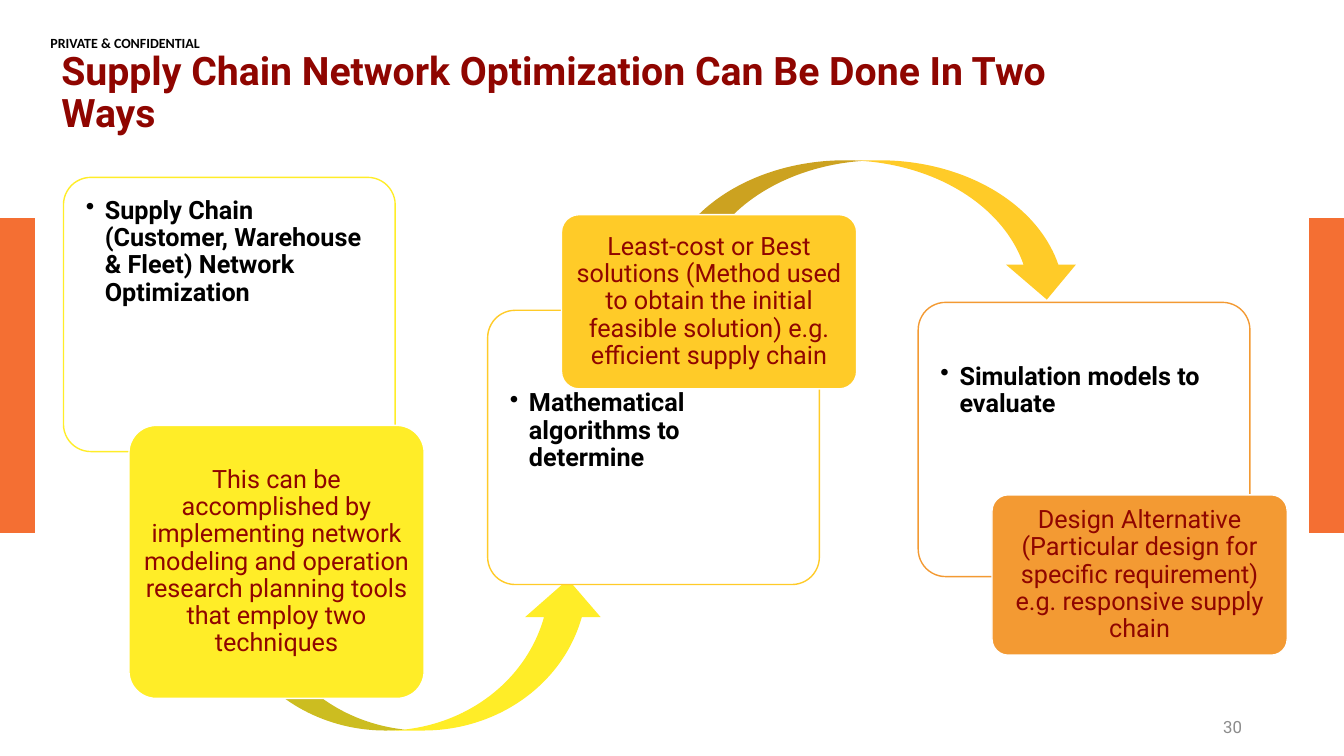
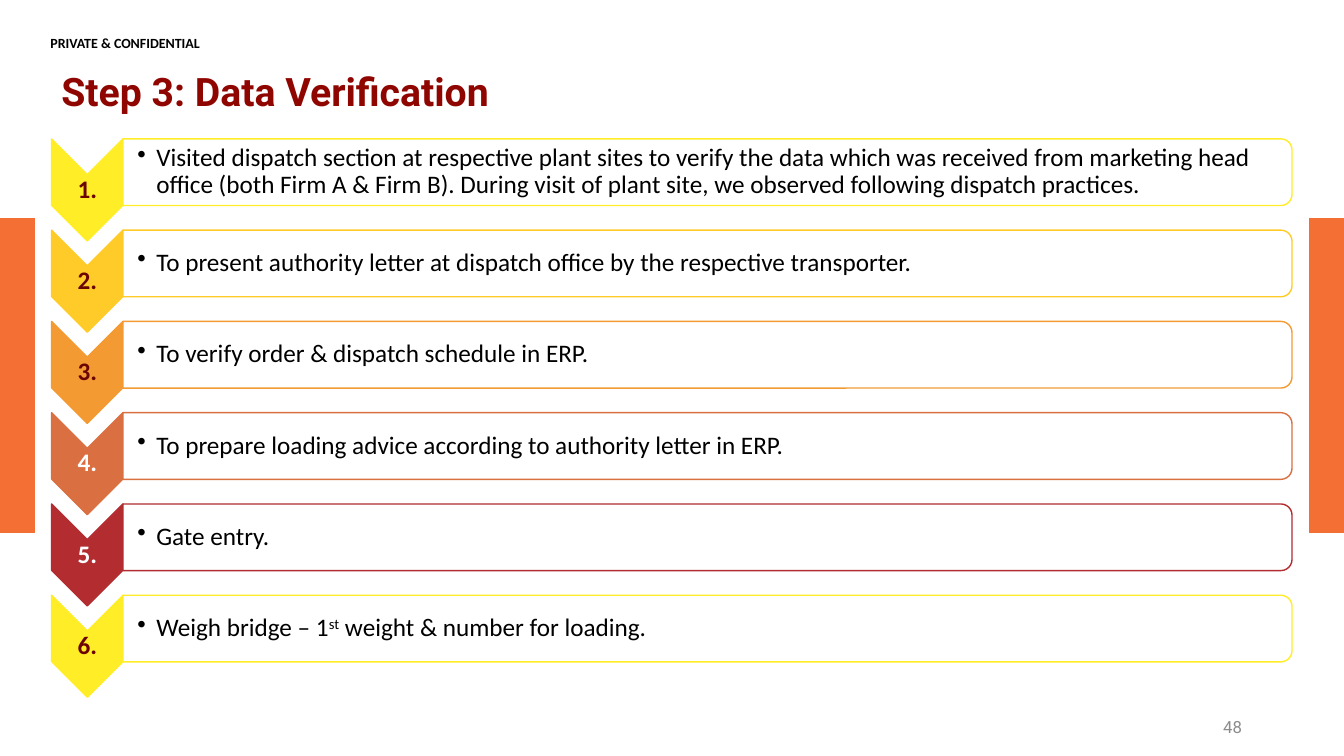
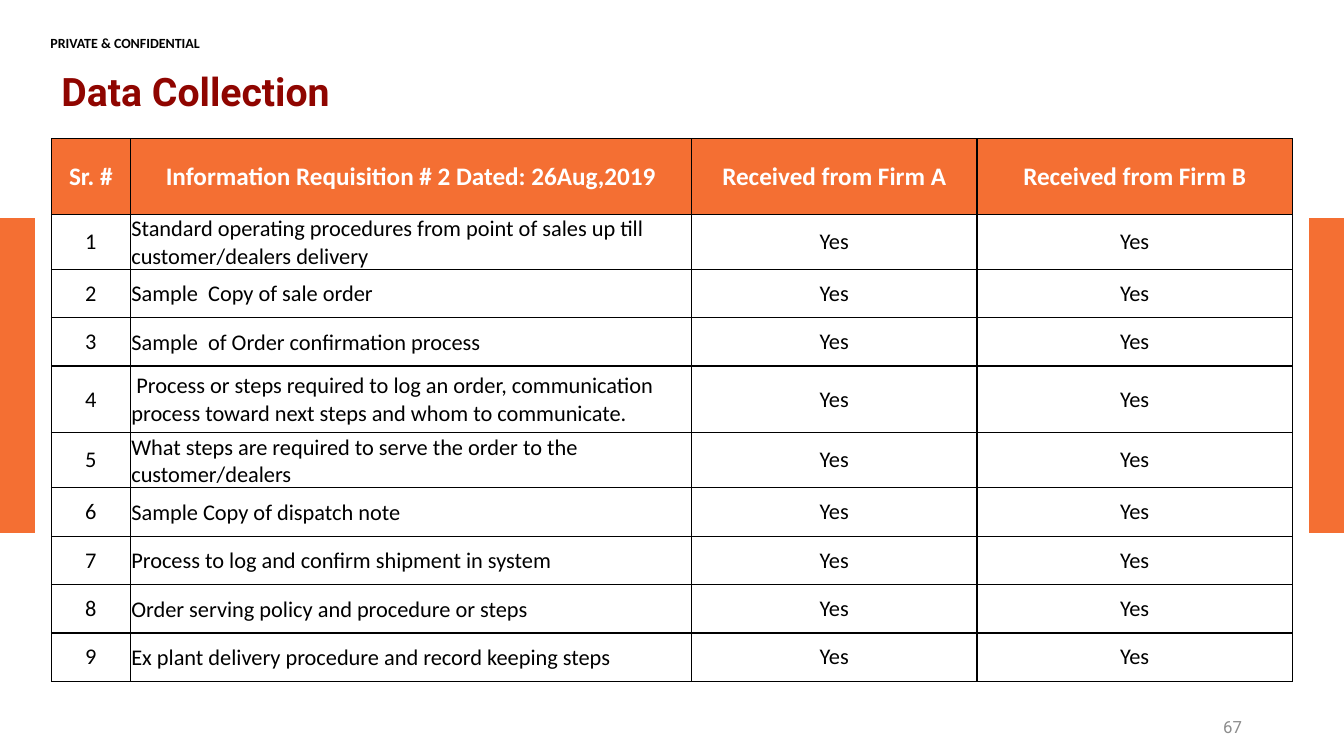
"""Build three supply chain slides: optimization ways, verification steps and a data table."""
from lxml import etree
from pptx import Presentation
from pptx.dml.color import RGBColor
from pptx.enum.shapes import MSO_SHAPE
from pptx.enum.text import MSO_ANCHOR, PP_ALIGN
from pptx.oxml.ns import qn
from pptx.util import Cm, Pt

RECTANGLE = MSO_SHAPE.RECTANGLE
ROUNDED = MSO_SHAPE.ROUNDED_RECTANGLE
ROUNDED_TOP = MSO_SHAPE.ROUND_2_SAME_RECTANGLE
CHEVRON = MSO_SHAPE.CHEVRON
CURVED_ARROW = MSO_SHAPE.CURVED_DOWN_ARROW
TOP, MIDDLE = MSO_ANCHOR.TOP, MSO_ANCHOR.MIDDLE
LEFT, CENTER, RIGHT = PP_ALIGN.LEFT, PP_ALIGN.CENTER, PP_ALIGN.RIGHT

WHITE, BLACK, GRAY = "FFFFFF", "000000", "8C8C8C"
ORANGE, MAROON, DARK_MAROON = "F46F33", "8F0500", "6A0500"
YELLOW, GOLD, AMBER, RUST, RED = "FFED28", "FFCB28", "F39A33", "DA6F41", "B22C30"
BODY_FONT, TITLE_FONT = "Calibri", "Roboto"
WIDTH, HEIGHT = 33.87, 19.05
BAND_TOP, BAND_WIDTH, BAND_HEIGHT = 5.5, 0.88, 7.93
DEFAULT_MARGINS = (0.25, 0.13, 0.25, 0.13)

WAYS_TITLE = "Supply Chain Network Optimization Can Be Done In Two Ways"
CARD_WIDTH, CARD_HEIGHT, NOTE_WIDTH = 8.36, 6.91, 7.44
WAYS = [
    {"color": YELLOW, "card": (1.6, 4.47), "text_top": 0.31,
     "heading": "Supply Chain (Customer, Warehouse & Fleet) Network Optimization",
     "arrow": (5.59, 14.6, 9.68, 3.81), "flipped": True,
     "note_box": (3.25, 10.72, NOTE_WIDTH, 6.88),
     "note": "This can be accomplished by implementing network modeling and operation "
             "research planning tools that employ two techniques"},
    {"color": GOLD, "card": (12.29, 7.82), "text_top": 1.81,
     "heading": "Mathematical algorithms to determine",
     "arrow": (16.64, 4.04, 10.62, 3.51), "flipped": False,
     "note_box": (14.15, 5.41, NOTE_WIDTH, 4.39),
     "note": "Least-cost or Best solutions (Method used to obtain the initial feasible "
             "solution) e.g. efficient supply chain"},
    {"color": AMBER, "card": (23.14, 7.62), "text_top": 1.34,
     "heading": "Simulation models to evaluate",
     "arrow": None, "flipped": False,
     "note_box": (25, 12.47, NOTE_WIDTH, 4.04),
     "note": "Design Alternative (Particular design for specific requirement) "
             "e.g. responsive supply chain"},
]

STEPS_TITLE = "Step 3: Data Verification"
STEPS = [
    (YELLOW, DARK_MAROON, [
        "Visited dispatch section at respective plant sites to verify the data which was "
        "received from marketing head office (both Firm A & Firm B). During visit of plant "
        "site, we observed following dispatch practices."]),
    (GOLD, DARK_MAROON,
     ["To present authority letter at dispatch office by the respective transporter."]),
    (AMBER, DARK_MAROON, ["To verify order & dispatch schedule in ERP."]),
    (RUST, WHITE, ["To prepare loading advice according to authority letter in ERP."]),
    (RED, WHITE, ["Gate entry."]),
    (YELLOW, DARK_MAROON, ["Weigh bridge – 1", "st", " weight & number for loading."]),
]
STEP_LEFT, STEP_TOP, STEP_PITCH = 1.3, 3.5, 2.3
CHEVRON_WIDTH, CHEVRON_HEIGHT = 1.8, 2.57
BAR_WIDTH, BAR_HEIGHT = 29.46, 1.68

TABLE_TITLE = "Data Collection"
TABLE_HEADER = ["Sr. #", "Information Requisition # 2 Dated: 26Aug,2019",
                "Received from Firm A", "Received from Firm B"]
REQUISITIONS = [
    "Standard operating procedures from point of sales up till customer/dealers delivery",
    "Sample  Copy of sale order",
    "Sample  of Order confirmation process",
    " Process or steps required to log an order, communication process toward next steps "
    "and whom to communicate.",
    "What steps are required to serve the order to the customer/dealers",
    "Sample Copy of dispatch note",
    "Process to log and confirm shipment in system",
    "Order serving policy and procedure or steps",
    "Ex plant delivery procedure and record keeping steps",
]
COLUMN_WIDTHS = [1.98, 14.15, 7.19, 7.95]
ROW_HEIGHTS = [1.9] + [1.22] * 3 + [1.68] + [1.22] * 5


def color(value):
    return RGBColor.from_string(value)


def add_bullet(paragraph):
    properties = paragraph._p.get_or_add_pPr()
    properties.set("marL", str(Cm(0.48)))
    properties.set("indent", str(-Cm(0.48)))
    etree.SubElement(properties, qn("a:buChar")).set("char", "•")


def set_text(frame, runs, size, font_color, font=BODY_FONT, bold=False, align=LEFT,
             spacing=None, bullet=False):
    paragraph = frame.paragraphs[0]
    paragraph.alignment = align
    if spacing:
        paragraph.line_spacing = spacing
    if bullet:
        add_bullet(paragraph)
    paragraph.font.name = font
    paragraph.font.size = Pt(size)
    paragraph.font.bold = bold
    paragraph.font.color.rgb = color(font_color)
    for index, text in enumerate(runs):
        run = paragraph.add_run()
        run.text = text
        if index == 1:
            run.font._element.set("baseline", "30000")


def set_frame(frame, anchor, margins):
    frame.word_wrap = True
    frame.vertical_anchor = anchor
    (frame.margin_left, frame.margin_top,
     frame.margin_right, frame.margin_bottom) = map(Cm, margins)


def add_shape(slide, kind, box, fill, line=None):
    shape = slide.shapes.add_shape(kind, *map(Cm, box))
    shape.shadow.inherit = False
    shape.fill.solid()
    shape.fill.fore_color.rgb = color(fill)
    if line:
        shape.line.color.rgb = color(line)
        shape.line.width = Pt(1)
    else:
        shape.line.fill.background()
    return shape


def add_turned_shape(slide, kind, box, fill, line):
    left, top, width, height = box
    shift = (width - height) / 2
    shape = add_shape(slide, kind, (left + shift, top - shift, height, width), fill, line)
    shape.rotation = 90


def add_text(slide, box, runs, size, font_color, anchor=MIDDLE, margins=DEFAULT_MARGINS,
             **style):
    frame = slide.shapes.add_textbox(*map(Cm, box)).text_frame
    set_frame(frame, anchor, margins)
    set_text(frame, runs, size, font_color, **style)


def add_base_slide(presentation, title, number):
    slide = presentation.slides.add_slide(presentation.slide_layouts[6])
    for left in (0, WIDTH - BAND_WIDTH):
        add_shape(slide, RECTANGLE, (left, BAND_TOP, BAND_WIDTH, BAND_HEIGHT), ORANGE)
    add_text(slide, (1.27, 0.86, 6.43, 0.3), ["PRIVATE & CONFIDENTIAL"], 10, BLACK,
             anchor=TOP, margins=(0, 0, 0, 0), bold=True)
    add_text(slide, (1.3, 1.47, 27.58, 1.8), [title], 28, MAROON,
             font=TITLE_FONT, bold=True, spacing=0.9)
    add_text(slide, (23.93, 17.81, 7.62, 1.02), [str(number)], 12, GRAY,
             font=TITLE_FONT, align=RIGHT)
    return slide


def add_rounded_text(slide, box, fill, line, text, font_color, anchor, margins, **style):
    shape = add_shape(slide, ROUNDED, box, fill, line)
    shape.adjustments[0] = 0.1
    set_frame(shape.text_frame, anchor, margins)
    set_text(shape.text_frame, [text], 18, font_color, font=TITLE_FONT, spacing=0.9, **style)


def build_ways(presentation):
    slide = add_base_slide(presentation, WAYS_TITLE, 30)
    for way in WAYS:
        add_rounded_text(slide, (*way["card"], CARD_WIDTH, CARD_HEIGHT), WHITE, way["color"],
                         way["heading"], BLACK, TOP, (0.36, way["text_top"], 0.36, 0.36),
                         bold=True, bullet=True)
        if way["arrow"]:
            arrow = add_shape(slide, CURVED_ARROW, way["arrow"], way["color"])
            if way["flipped"]:
                arrow._element.spPr.xfrm.set("flipV", "1")
        add_rounded_text(slide, way["note_box"], way["color"], WHITE, way["note"], MAROON,
                         MIDDLE, (0.1, 0.08, 0.1, 0.08), align=CENTER)


def build_steps(presentation):
    slide = add_base_slide(presentation, STEPS_TITLE, 48)
    bar_left = STEP_LEFT + CHEVRON_WIDTH
    for index, (accent, number_color, runs) in enumerate(STEPS):
        top = STEP_TOP + index * STEP_PITCH
        add_turned_shape(slide, CHEVRON, (STEP_LEFT, top, CHEVRON_WIDTH, CHEVRON_HEIGHT),
                         accent, accent)
        add_text(slide, (STEP_LEFT, top + 0.9, CHEVRON_WIDTH, 0.77), [f"{index + 1}."], 18,
                 number_color, margins=[0.03] * 4, bold=True, align=CENTER, spacing=0.9)
        add_turned_shape(slide, ROUNDED_TOP, (bar_left, top, BAR_WIDTH, BAR_HEIGHT),
                         WHITE, accent)
        add_text(slide, (bar_left, top + 0.08, BAR_WIDTH - 0.08, BAR_HEIGHT - 0.16), runs, 18,
                 BLACK, margins=(0.36, 0.03, 0.03, 0.03), spacing=0.9, bullet=True)


def add_borders(cell):
    properties = cell._tc.get_or_add_tcPr()
    for side in ("a:lnL", "a:lnR", "a:lnT", "a:lnB"):
        line = etree.SubElement(properties, qn(side), w=str(Pt(1)))
        fill = etree.SubElement(line, qn("a:solidFill"))
        etree.SubElement(fill, qn("a:srgbClr"), val=BLACK)


def fill_cell(cell, text, is_header, is_description):
    add_borders(cell)
    if is_header:
        cell.fill.solid()
        cell.fill.fore_color.rgb = color(ORANGE)
    else:
        cell.fill.background()
    cell.vertical_anchor = MIDDLE
    margins = (0.03, 0.03, 0.03, 0) if is_description else (0.33, 0.13, 0.33, 0.13)
    (cell.margin_left, cell.margin_top,
     cell.margin_right, cell.margin_bottom) = map(Cm, margins)
    set_text(cell.text_frame, [text], 18 if is_header else 16, WHITE if is_header else BLACK,
             bold=is_header, align=LEFT if is_description else CENTER)


def build_table(presentation):
    slide = add_base_slide(presentation, TABLE_TITLE, 67)
    rows = [TABLE_HEADER] + [[str(number), text, "Yes", "Yes"]
                             for number, text in enumerate(REQUISITIONS, 1)]
    box = (1.3, 3.5, sum(COLUMN_WIDTHS), sum(ROW_HEIGHTS))
    table = slide.shapes.add_table(len(rows), len(COLUMN_WIDTHS), *map(Cm, box)).table
    table.first_row = table.horz_banding = False
    for column, width in zip(table.columns, COLUMN_WIDTHS):
        column.width = Cm(width)
    for row, height in zip(table.rows, ROW_HEIGHTS):
        row.height = Cm(height)
    for row_index, texts in enumerate(rows):
        for column_index, text in enumerate(texts):
            is_header = row_index == 0
            fill_cell(table.cell(row_index, column_index), text, is_header,
                      column_index == 1 and not is_header)


def main():
    presentation = Presentation()
    presentation.slide_width, presentation.slide_height = Cm(WIDTH), Cm(HEIGHT)
    build_ways(presentation)
    build_steps(presentation)
    build_table(presentation)
    presentation.save("out.pptx")


if __name__ == "__main__":
    main()
